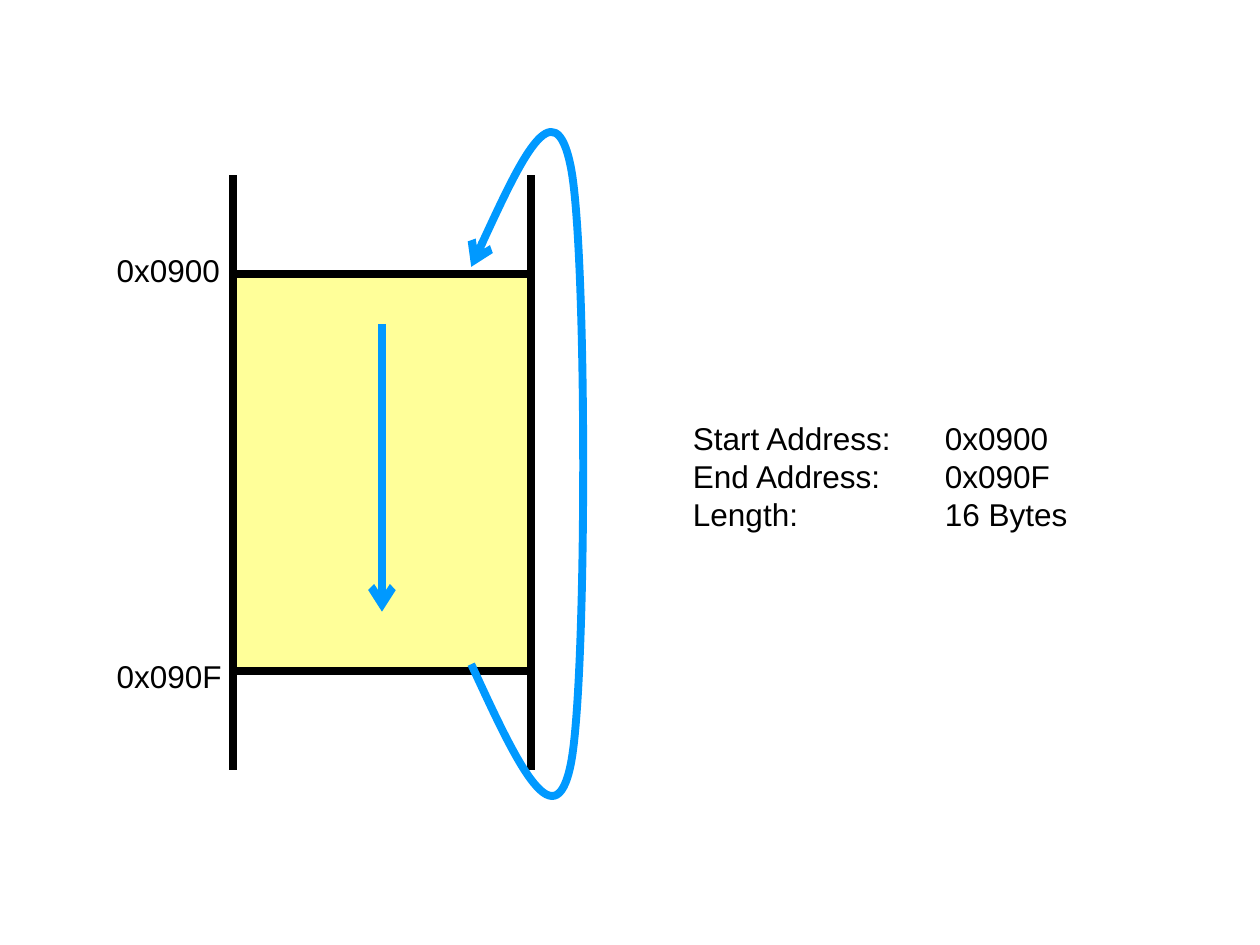
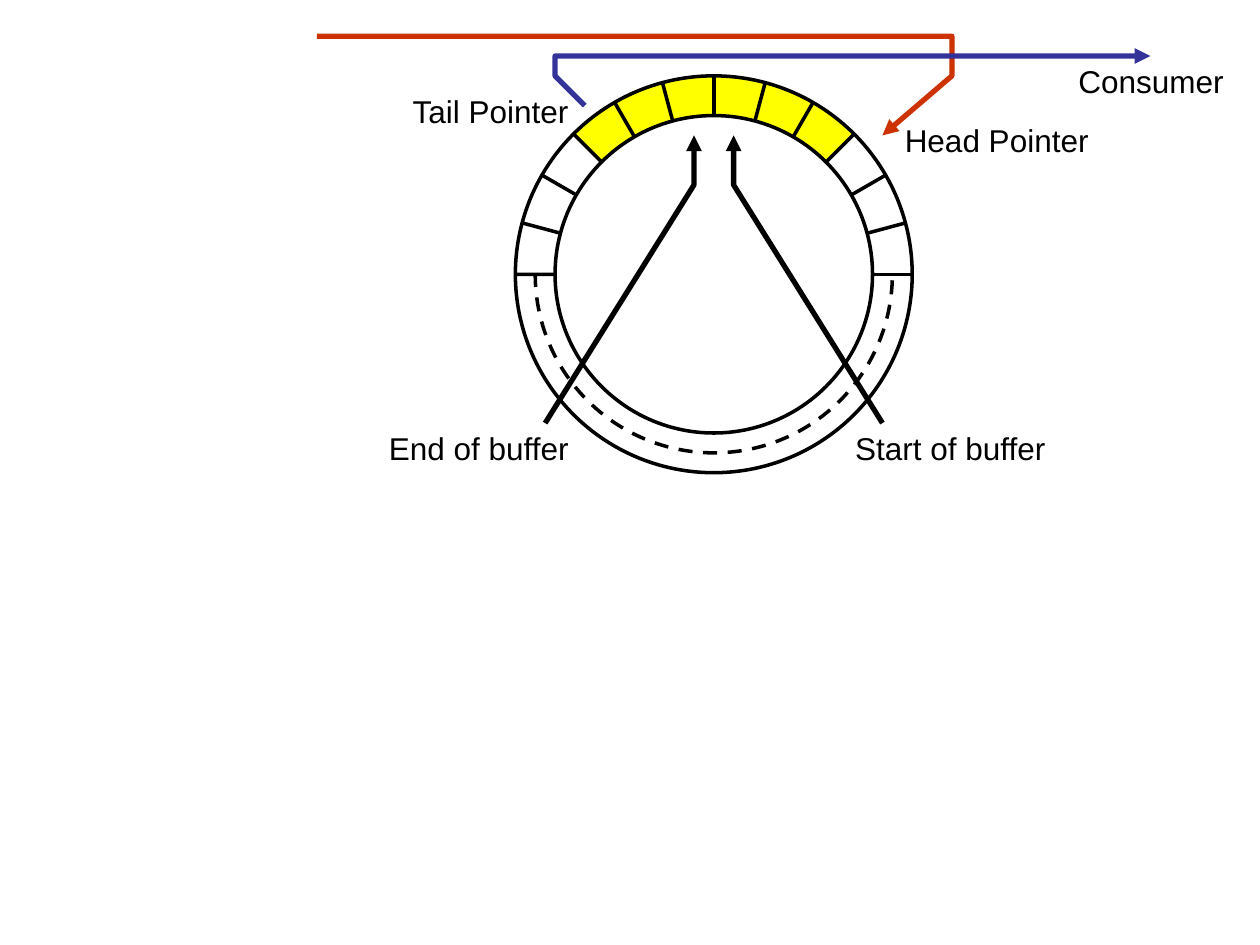
from dataclasses import dataclass
from math import cos, radians, sin
from typing import Any

from lxml import etree
from pptx import Presentation
from pptx import util as u
from pptx.dml.color import RGBColor
from pptx.enum import dml, shapes, text
from pptx.oxml.ns import qn

COLORS = {
    "ink": "000000",
    "paper": "FFFFFF",
    "buffer": "FFFF99",
    "flow": "0099FF",
    "used": "FFFF00",
    "producer": "CC3300",
    "consumer": "333399",
}
FONT, FONT_SIZE = "Arial", u.Pt(18)
LABEL_HEIGHT = 1.02


def rgb(name):
    return RGBColor.from_string(COLORS[name])


@dataclass
class Region:
    """Draws on a slide in centimetres measured from its own origin."""
    slide: Any
    left: float
    top: float

    def place(self, x, y):
        return u.Cm(self.left + x), u.Cm(self.top + y)

    def label(self, x, y, width, lines, tab=None):
        box = self.slide.shapes.add_textbox(
            *self.place(x, y), u.Cm(width), u.Cm(LABEL_HEIGHT))
        frame = box.text_frame
        frame.word_wrap = False
        frame.auto_size = text.MSO_AUTO_SIZE.SHAPE_TO_FIT_TEXT
        frame.text = "\n".join(lines)
        for paragraph in frame.paragraphs:
            if tab:
                stops = etree.SubElement(
                    paragraph._p.get_or_add_pPr(), qn("a:tabLst"))
                etree.SubElement(
                    stops, qn("a:tab"), pos=str(u.Cm(tab)), algn="l")
            paragraph.font.name = FONT
            paragraph.font.size = FONT_SIZE
            paragraph.font.color.rgb = rgb("ink")

    def line(self, start, end, color, width, arrow=None):
        connector = self.slide.shapes.add_connector(
            shapes.MSO_CONNECTOR.STRAIGHT, *self.place(*start), *self.place(*end))
        style_line(connector, color, width, arrow)
        etree.SubElement(connector._element.spPr, qn("a:effectLst"))

    def preset(self, kind, x, y, width, height, fill, line_width):
        shape = self.slide.shapes.add_shape(
            kind, *self.place(x, y), u.Cm(width), u.Cm(height))
        return finish(shape, fill, "ink", line_width)

    def outline(self, points, color, width, fill=None, arrow=None):
        """Polygon when filled, otherwise an open path."""
        start, *rest = [self.place(*point) for point in points]
        builder = self.slide.shapes.build_freeform(*start)
        builder.add_line_segments(rest, close=fill is not None)
        return finish(builder.convert_to_shape(), fill, color, width, arrow)


def style_line(shape, color, width, arrow=None):
    shape.line.color.rgb = rgb(color)
    shape.line.width = u.Pt(width)
    if arrow:
        etree.SubElement(shape.line._get_or_add_ln(), qn("a:tailEnd"), type=arrow)


def finish(shape, fill, color, width, arrow=None):
    shape.shadow.inherit = False
    if fill:
        shape.fill.solid()
        shape.fill.fore_color.rgb = rgb(fill)
    else:
        shape.fill.background()
    style_line(shape, color, width, arrow)
    return shape


def bend(shape):
    """Turn each three straight segments of a path into one Bézier curve."""
    segments = list(shape._element.iter(qn("a:lnTo")))
    for i in range(0, len(segments), 3):
        curve = etree.Element(qn("a:cubicBezTo"))
        segments[i].addprevious(curve)
        for segment in segments[i:i + 3]:
            curve.append(segment[0])
            segment.getparent().remove(segment)


def draw_linear_buffer(slide, left, top, width, height):
    region = Region(slide, left, top)
    stroke, overhang = 4.5, 2
    for x in (0, width):
        region.line((x, -overhang), (x, height + overhang), "ink", stroke)
    region.preset(shapes.MSO_SHAPE.RECTANGLE, 0, 0, width, height, "buffer", stroke)
    for address, y in (("0x0900", -0.6), ("0x090F", 7.6)):
        region.label(-2.6, y, 2.7, [address])
    region.line((width / 2, 1), (width / 2, 6.8), "flow", stroke, "arrow")

    lower = [(4.8, 7.86), (5.64, 9.68), (6.48, 11.54), (6.81, 9.86), (7.14, 8.18)]
    upper = [(x, 7.71 - y) for x, y in reversed(lower)]
    bend(region.outline(lower + upper, "flow", stroke, arrow="arrow"))


def draw_address_facts(slide, left, top):
    facts = {"Start Address": "0x0900", "End Address": "0x090F",
             "Length": "16 Bytes"}
    lines = [f"{name}:\t{value}" for name, value in facts.items()]
    Region(slide, left, top).label(0, 0, 8.05, lines, tab=5.08)


def polar(radius, degrees):
    return radius * cos(radians(degrees)), -radius * sin(radians(degrees))


def draw_ring(region, outer, inner):
    step, part = 15, 5

    def circle(radius, fill=None):
        return region.preset(shapes.MSO_SHAPE.OVAL, -radius, -radius,
                             2 * radius, 2 * radius, fill, 2)

    circle((outer + inner) / 2).line.dash_style = dml.MSO_LINE.DASH
    for start in range(0, 180, step):
        arc = range(start, start + step + 1, part)
        cell = [polar(outer, a) for a in arc] + [polar(inner, a) for a in reversed(arc)]
        used = 45 <= start < 135
        region.outline(cell, "ink", 0.75, fill="used" if used else "paper")
    for angle in range(0, 181, step):
        region.line((0, 0), polar(outer, angle), "ink", 2)
    circle(outer)
    circle(inner, "paper")


def draw_ring_buffer(slide, left, top, size):
    outer = size / 2
    region = Region(slide, left + outer, top + outer)
    draw_ring(region, outer, 0.8 * outer)

    for side in (-1, 1):
        boundary = [(3.4 * side, 3), (0.4 * side, -1.8), (0.4 * side, -2.8)]
        region.outline(boundary, "ink", 3, arrow="triangle")
    producer = [(-8, -4.8), (4.8, -4.8), (4.8, -4), (3.4, -2.8)]
    consumer = [(-2.6, -3.4), (-3.2, -4), (-3.2, -4.4), (8.8, -4.4)]
    region.outline(producer, "producer", 3, arrow="triangle")
    region.outline(consumer, "consumer", 3, arrow="triangle")

    for name, x, y, width in [
        ("End of buffer", -6.8, 3, 4.2),
        ("Start of buffer", 2.6, 3, 4.4),
        ("Consumer", 7.1, -4.4, 3.5),
        ("Head Pointer", 3.6, -3.22, 4.3),
        ("Tail Pointer", -6.32, -3.8, 3.8),
    ]:
        region.label(x, y, width, [name])


def main():
    deck = Presentation()
    deck.slide_width, deck.slide_height = u.Cm(25.4), u.Cm(19.05)
    blank = deck.slide_layouts[6]

    linear = deck.slides.add_slide(blank)
    draw_linear_buffer(linear, 4.7, 5.53, 6, 8)
    draw_address_facts(linear, 13.72, 8.33)

    draw_ring_buffer(deck.slides.add_slide(blank), 10.39, 1.53, 8)
    deck.save("out.pptx")


if __name__ == "__main__":
    main()
